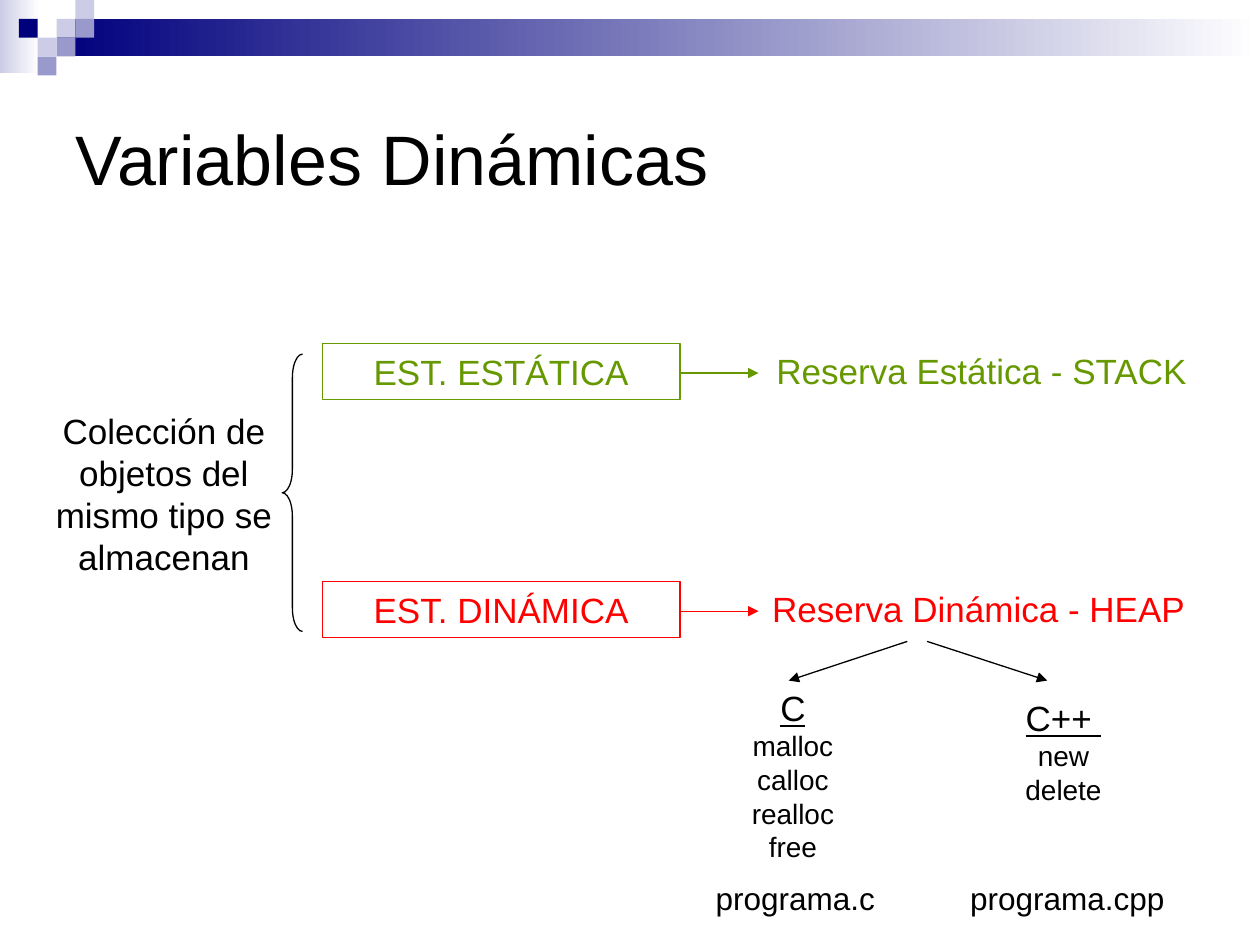
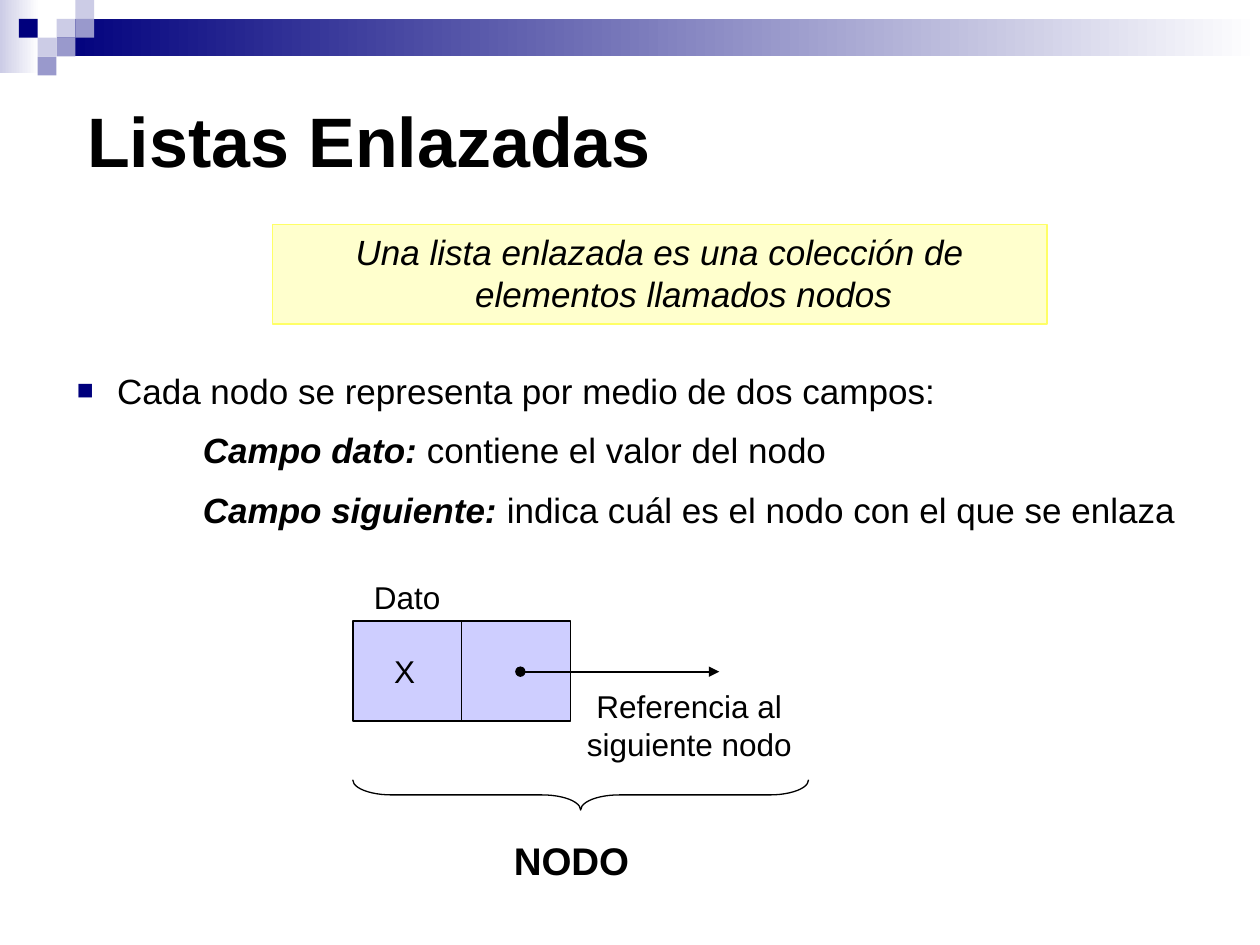
from lxml import etree
from pptx import Presentation
from pptx.dml.color import RGBColor
from pptx.enum.shapes import MSO_CONNECTOR, MSO_SHAPE
from pptx.enum.text import MSO_ANCHOR, MSO_AUTO_SIZE, PP_ALIGN
from pptx.oxml.ns import qn
from pptx.util import Cm, Pt

RECT, LEFT_BRACE, RIGHT_BRACE = (
    MSO_SHAPE.RECTANGLE, MSO_SHAPE.LEFT_BRACE, MSO_SHAPE.RIGHT_BRACE)
STRAIGHT = MSO_CONNECTOR.STRAIGHT
LEFT, CENTER = PP_ALIGN.LEFT, PP_ALIGN.CENTER
TOP, MIDDLE = MSO_ANCHOR.TOP, MSO_ANCHOR.MIDDLE
NO_FIT = MSO_AUTO_SIZE.NONE

FONT = "Arial"
BLACK, WHITE, GREEN, RED = "000000", "FFFFFF", "669900", "FF0000"
NAVY, LAVENDER, LILAC = "00007D", "CCCCE6", "9999CC"
YELLOW, VIOLET = "FFFF66", "9999FF"
TITLE_ONLY, TITLE_AND_BODY = 5, 1
TILE = 0.38  # side of one square of the corner mosaic, in cm
MOSAIC = [  # column, row, colour
    (3, 1, LAVENDER), (4, 0, LAVENDER), (4, 1, LILAC), (2, 2, LAVENDER),
    (1, 1, NAVY), (3, 2, LILAC), (2, 3, LILAC)]


def rgb(code):
    return RGBColor.from_string(code)


def place(shape, left, top, width, height):
    shape.left, shape.top = Cm(left), Cm(top)
    shape.width, shape.height = Cm(width), Cm(height)


def add_xml(parent, tag, **attributes):
    return etree.SubElement(parent, qn(tag), attributes)


# Text
def style(span, size, color=BLACK, bold=False, italic=False, underline=False):
    font = span.font
    font.name, font.size, font.color.rgb = FONT, Pt(size), rgb(color)
    font.bold, font.italic, font.underline = bold, italic, underline


def write(shape, text, size, color=BLACK, align=CENTER, anchor=MIDDLE, **looks):
    frame = shape.text_frame
    frame.text = text
    frame.word_wrap, frame.auto_size = True, NO_FIT
    frame.vertical_anchor = anchor
    for para in frame.paragraphs:
        para.alignment = align
        para.space_before = Pt(0)
        for span in para.runs:
            style(span, size, color, **looks)
    return frame


def add_text(page, at, text, size, **options):
    box = page.shapes.add_textbox(*map(Cm, at))
    return write(box, text, size, **options)


def set_indent(para, margin, first=0):
    properties = para._p.get_or_add_pPr()
    properties.set("marL", str(Cm(margin)))
    properties.set("indent", str(Cm(first)))
    return properties


def add_square_bullet(para):
    properties = set_indent(para, 0.81, -0.81)
    add_xml(add_xml(properties, "a:buClr"), "a:srgbClr", val=NAVY)
    add_xml(properties, "a:buSzPct", val="80000")
    add_xml(properties, "a:buFont", typeface=FONT)
    add_xml(properties, "a:buChar", char="■")


# Shapes
def paint(shape, fill, opacity=100):
    shape.fill.solid()
    shape.fill.fore_color.rgb = rgb(fill)
    if opacity < 100:
        color = shape._element.spPr.find(qn("a:solidFill"))[0]
        add_xml(color, "a:alpha", val=str(opacity * 1000))


def outline(shape, color, width=0.75):
    shape.line.color.rgb = rgb(color)
    shape.line.width = Pt(width)


def add_shape(shapes, kind, at):
    shape = shapes.add_shape(kind, *map(Cm, at))
    shape.shadow.inherit = False
    shape.fill.background()
    shape.line.fill.background()
    return shape


def add_fade(shapes, at, start):
    shape = add_shape(shapes, RECT, at)
    shape.fill.gradient()
    shape.fill.gradient_angle = 0
    for stop, color in zip(shape.fill.gradient_stops, (start, WHITE)):
        stop.color.rgb = rgb(color)


def add_brace(page, kind, at, curl, rotation=0):
    brace = add_shape(page.shapes, kind, at)
    outline(brace, BLACK)
    brace.adjustments[0], brace.adjustments[1] = curl, 0.5
    brace.rotation = rotation


def add_line(page, start, end, color=BLACK, width=0.75, head=None, tail=None):
    line = page.shapes.add_connector(STRAIGHT, *map(Cm, start + end))
    outline(line, color, width)
    stroke = line.line._get_or_add_ln()
    for tag, kind in (("a:headEnd", head), ("a:tailEnd", tail)):
        if kind:
            add_xml(stroke, tag, type=kind)
    add_xml(line._element.spPr, "a:effectLst")


# Shared page: bands, corner mosaic and title
def add_page(deck, layout, title, title_at, bold=False):
    page = deck.slides.add_slide(deck.slide_layouts[layout])
    shapes = page.shapes.add_group_shape().shapes
    add_fade(shapes, (0, 0, 0.79, 1.47), LAVENDER)
    add_fade(shapes, (3 * TILE, TILE, 25.4 - 3 * TILE, 2 * TILE), NAVY)
    for column, row, color in MOSAIC:
        tile = add_shape(shapes, RECT, (column * TILE, row * TILE, TILE, TILE))
        paint(tile, color)
    place(page.shapes.title, *title_at)
    write(page.shapes.title, title, 40, align=LEFT, bold=bold)
    return page


def add_functions(page, at, language, functions):
    frame = add_text(page, at, "\n".join([language] + functions), 16)
    style(frame.paragraphs[0].runs[0], 20, underline=True)


def build_variables(deck):
    page = add_page(deck, TITLE_ONLY, "Variables Dinámicas",
                    (1.27, 1.27, 22.86, 3.81))
    add_text(page, (0.51, 8.13, 5.59, 3.63),
             "Colección de objetos del mismo tipo se almacenan", 20)
    add_brace(page, LEFT_BRACE, (5.69, 7.14, 0.41, 5.59), 1.163)

    # One row for each kind of storage
    rows = [("EST. ESTÁTICA", "Reserva Estática - STACK", GREEN, 15.09, 9.4),
            ("EST. DINÁMICA", "Reserva Dinámica - HEAP", RED, 14.88, 9.7)]
    for index, (kind, storage, color, left, width) in enumerate(rows):
        top = 6.93 + 4.8 * index
        box = add_shape(page.shapes, RECT, (6.5, top, 7.21, 1.12))
        outline(box, color)
        write(box, kind, 20, color)
        add_text(page, (left, top, width, 1.09), storage, 20, color=color)
        add_line(page, (13.69, top + 0.59), (15.29, top + 0.59), color,
                 tail="triangle")

    # Heap functions of each language
    add_line(page, (18.29, 12.93), (15.9, 13.72), tail="triangle")
    add_line(page, (18.69, 12.93), (21.11, 13.72), tail="triangle")
    add_functions(page, (13.89, 13.72, 4.19, 3.81), "C",
                  ["malloc", "calloc", "realloc", "free"])
    add_functions(page, (19.89, 13.92, 3.1, 2.46), "C++ ", ["new", "delete"])
    add_text(page, (13.94, 17.6, 4.19, 1.02), "programa.c", 18)
    add_text(page, (18.9, 17.6, 5.23, 1.02), "programa.cpp", 18)


def add_fields(page):
    fields = [("Campo dato:", " contiene el valor del nodo"),
              ("Campo siguiente:", " indica cuál es el nodo con el que se enlaza")]
    frame = add_text(page, (1.3, 7.32, 23.19, 3.63),
                     "Cada nodo se representa por medio de dos campos:", 20,
                     align=LEFT, anchor=TOP)
    add_square_bullet(frame.paragraphs[0])
    for name, meaning in fields:
        para = frame.add_paragraph()
        para.space_before = Pt(10)
        set_indent(para, 2.54)
        for text, strong in ((name, True), (meaning, False)):
            span = para.add_run()
            span.text = text
            style(span, 20, bold=strong, italic=strong)


def add_node(page):
    left, top, width, height = 7.11, 12.52, 4.39, 2.01
    middle = left + width / 2
    node = add_shape(page.shapes, RECT, (left, top, width, height))
    paint(node, VIOLET, 48)
    outline(node, BLACK, 1)
    frame = write(node, "X", 18)
    frame.margin_left, frame.margin_right = Cm(0), Cm(width / 2 + 0.1)
    add_line(page, (middle, top), (middle, top + height), width=1)
    add_line(page, (10.49, 13.54), (14.5, 13.54), width=1,
             head="oval", tail="triangle")
    add_text(page, (7.29, 11.53, 2.01, 1.02), "Dato", 18,
             align=LEFT, anchor=TOP)
    add_text(page, (10.9, 13.72, 5.99, 1.78), "Referencia al siguiente nodo",
             18, anchor=TOP)
    add_text(page, (10.11, 16.74, 3.4, 1.19), "NODO", 22,
             align=LEFT, anchor=TOP, bold=True)
    add_brace(page, RIGHT_BRACE, (11.4, 11.43, 0.61, 9.19), 1.278, 90)


def build_lists(deck):
    page = add_page(deck, TITLE_AND_BODY, "Listas Enlazadas",
                    (1.5, 0.91, 22.86, 3.81), bold=True)
    # Definition
    body = page.placeholders[1]
    place(body, 5.49, 4.52, 15.62, 2.01)
    paint(body, YELLOW, 32)
    outline(body, YELLOW)
    frame = write(body, "Una lista enlazada es una colección de "
                  "elementos llamados nodos", 20, anchor=TOP, italic=True)
    add_xml(set_indent(frame.paragraphs[0], 0.97, -0.97), "a:buNone")

    add_fields(page)
    add_node(page)


def main():
    deck = Presentation()
    deck.slide_width, deck.slide_height = Cm(25.4), Cm(19.05)
    build_variables(deck)
    build_lists(deck)
    deck.save("out.pptx")


main()
